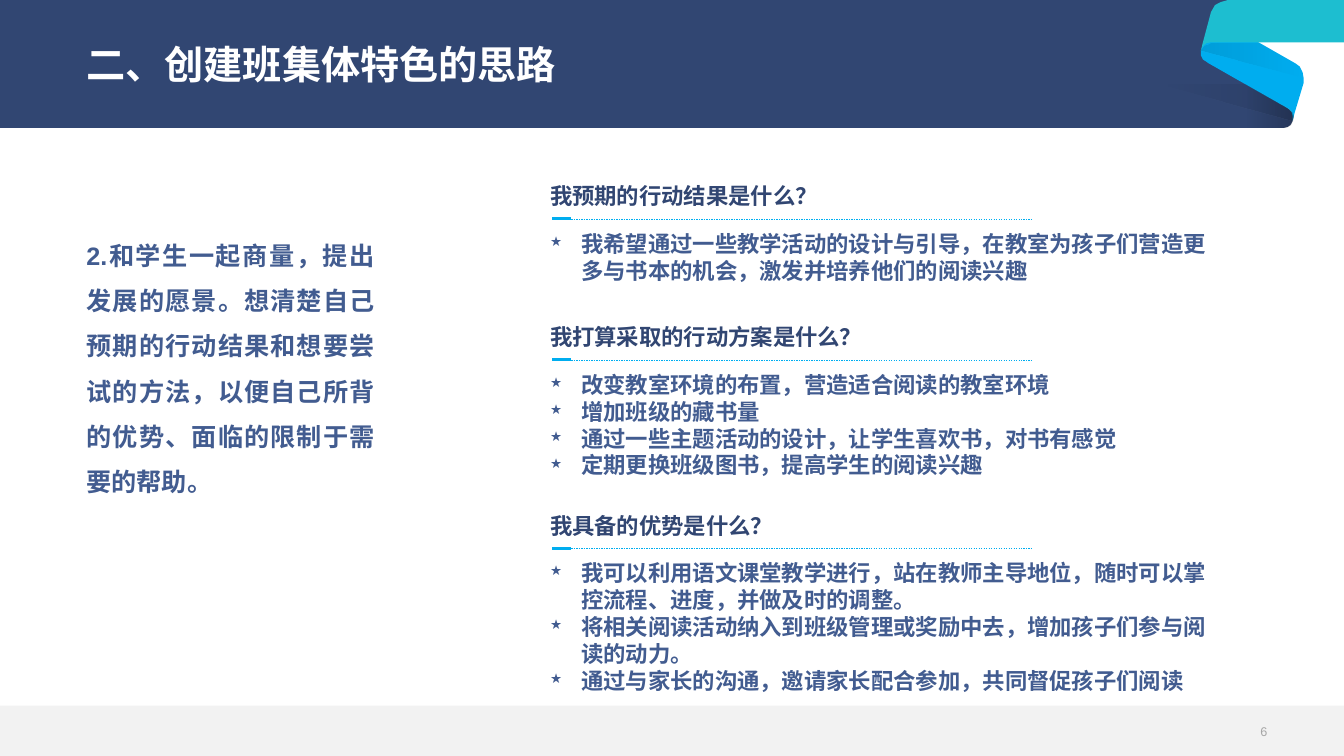
from lxml import etree
from pptx import Presentation
from pptx.dml.color import RGBColor
from pptx.enum import dml, shapes, text
from pptx.oxml import ns
from pptx.util import Inches, Pt

NAVY, SLATE, CYAN, TEAL = "314672", "425C90", "00ADEF", "1DBED0"
FONT = "Arial"
TITLE = "二、创建班集体特色的思路"
INTRO = ("2.和学生一起商量，提出发展的愿景。想清楚自己预期的行动结果和想要尝试的方法，"
         "以便自己所背的优势、面临的限制于需要的帮助。")
PAGE_NUMBER = "6"

# Height of the rule in inches, question, answers
SECTIONS = [
    (2.17, "我预期的行动结果是什么？", [
        "我希望通过一些教学活动的设计与引导，在教室为孩子们营造更多与书本的机会，激发并培养他们的阅读兴趣",
    ]),
    (3.57, "我打算采取的行动方案是什么？", [
        "改变教室环境的布置，营造适合阅读的教室环境",
        "增加班级的藏书量",
        "通过一些主题活动的设计，让学生喜欢书，对书有感觉",
        "定期更换班级图书，提高学生的阅读兴趣",
    ]),
    (5.44, "我具备的优势是什么？", [
        "我可以利用语文课堂教学进行，站在教师主导地位，随时可以掌控流程、进度，并做及时的调整。",
        "将相关阅读活动纳入到班级管理或奖励中去，增加孩子们参与阅读的动力。",
        "通过与家长的沟通，邀请家长配合参加，共同督促孩子们阅读",
    ]),
]

# Outlines in hundredths of an inch; a fill is a colour, or the black opacity (%) at left and right
BANNER_CORNER = [(1279, 108), (1282, 111), (1283.5, 115), (1283, 120), (1281, 124), (1278, 126), (1274, 127)]
RIBBON = [
    ([(0, 0), (1243, 0), (1243, 72), *BANNER_CORNER, (0, 127)], NAVY),
    ([(1197, 61), (1200, 63), (1279, 108), (1282, 111), (1283, 115), (1283, 120), (1285, 112),
      (1294, 82), (1294, 78), (1293, 72), (1290, 66), (1286, 63), (1244, 39), (1202, 41),
      (1197, 42), (1194, 45), (1192, 50), (1192, 55), (1194, 59)], CYAN),
    ([(1192, 50), (1194, 46), (1197, 43), (1202, 42), (1333.5, 42), (1333.5, 0), (1219, 0),
      (1212, 2), (1206, 5), (1202, 12), (1194, 42)], TEAL),
    ([(1237, 84), *BANNER_CORNER, (1237, 127)], (0, 20)),
    ([(1152, 84), (1283, 120), (1283, 114), (1279, 108), (1237, 84)], (0, 10)),
    ([(1192, 50), (1294, 77), (1292, 69), (1286, 63), (1250, 43), (1202, 43), (1196, 45)], (10, 0)),
]


def color(value):
    return RGBColor.from_string(value)


def paint(shape, fill):
    shape.shadow.inherit = False
    shape.line.fill.background()
    if isinstance(fill, str):
        shape.fill.solid()
        shape.fill.fore_color.rgb = color(fill)
        return
    shape.fill.gradient()
    shape.fill.gradient_angle = 0
    for stop, opacity in zip(shape.fill.gradient_stops, fill):
        stop.color.rgb = color("000000")
    for element, opacity in zip(shape.element.iter(ns.qn("a:gs")), fill):
        etree.SubElement(element[0], ns.qn("a:alpha"), val=str(opacity * 1000))


def add_outline(slide, points, fill):
    builder = slide.shapes.build_freeform(*points[0], scale=Inches(0.01))
    builder.add_line_segments(points[1:], close=True)
    paint(builder.convert_to_shape(), fill)


def add_star(paragraph):
    properties = paragraph._p.get_or_add_pPr()
    properties.set("marL", str(Inches(0.31)))
    properties.set("indent", str(-Inches(0.31)))
    bullet_color = etree.SubElement(properties, ns.qn("a:buClr"))
    etree.SubElement(bullet_color, ns.qn("a:srgbClr"), val=SLATE)
    etree.SubElement(properties, ns.qn("a:buSzPct"), val="60000")
    etree.SubElement(properties, ns.qn("a:buChar"), char="★")


def add_text(slide, box, lines, size, ink, bold=True, inset=(0, 0), stars=False,
             anchor=text.MSO_ANCHOR.TOP, align=text.PP_ALIGN.LEFT, spacing=1.0):
    frame = slide.shapes.add_textbox(*map(Inches, box)).text_frame
    frame.word_wrap = True
    frame.vertical_anchor = anchor
    frame.margin_left = frame.margin_right = Inches(inset[0])
    frame.margin_top = frame.margin_bottom = Inches(inset[1])
    for index, line in enumerate(lines):
        paragraph = frame.add_paragraph() if index else frame.paragraphs[0]
        paragraph.text = line
        paragraph.alignment = align
        paragraph.line_spacing = spacing
        if stars:
            add_star(paragraph)
        font = paragraph.font
        font.name, font.size, font.bold = FONT, Pt(size), bold
        font.color.rgb = color(ink)


def add_rule(slide, left, right, y, width, dash=None):
    rule = slide.shapes.add_connector(
        shapes.MSO_CONNECTOR.STRAIGHT, Inches(left), Inches(y), Inches(right), Inches(y))
    rule.line.color.rgb = color(CYAN)
    rule.line.width = Pt(width)
    if dash:
        rule.line.dash_style = dash
    etree.SubElement(rule.element.spPr, ns.qn("a:effectLst"))


def main():
    presentation = Presentation()
    presentation.slide_width, presentation.slide_height = Inches(13.34), Inches(7.5)
    slide = presentation.slides.add_slide(presentation.slide_layouts[6])

    for points, fill in RIBBON:
        add_outline(slide, points, fill)
    footer = slide.shapes.add_shape(
        shapes.MSO_SHAPE.RECTANGLE, 0, Inches(7), presentation.slide_width, Inches(0.5))
    paint(footer, "F2F2F2")

    add_text(slide, (0.76, 0.06, 11.81, 1.2), [TITLE], 28, "FFFFFF", inset=(0.1, 0.05),
             anchor=text.MSO_ANCHOR.MIDDLE, spacing=0.9)
    add_text(slide, (11.95, 7.13, 0.63, 0.26), [PAGE_NUMBER], 9, "A6A6A6", bold=False,
             anchor=text.MSO_ANCHOR.MIDDLE, align=text.PP_ALIGN.RIGHT)
    add_text(slide, (0.76, 2.18, 3.06, 4.18), [INTRO], 18, SLATE, inset=(0.1, 0.05),
             align=text.PP_ALIGN.JUSTIFY, spacing=1.5)

    for y, question, answers in SECTIONS:
        add_text(slide, (5.46, y + 0.11, 6.7, 0.27 * len(answers)), answers, 16, SLATE, stars=True)
        add_text(slide, (5.46, y - 0.36, 5.6, 0.27), [question], 16, NAVY)
        add_rule(slide, 5.48, 5.67, y, 2)
        add_rule(slide, 5.67, 10.25, y, 0.25, dml.MSO_LINE.DASH)

    presentation.save("out.pptx")


if __name__ == "__main__":
    main()
